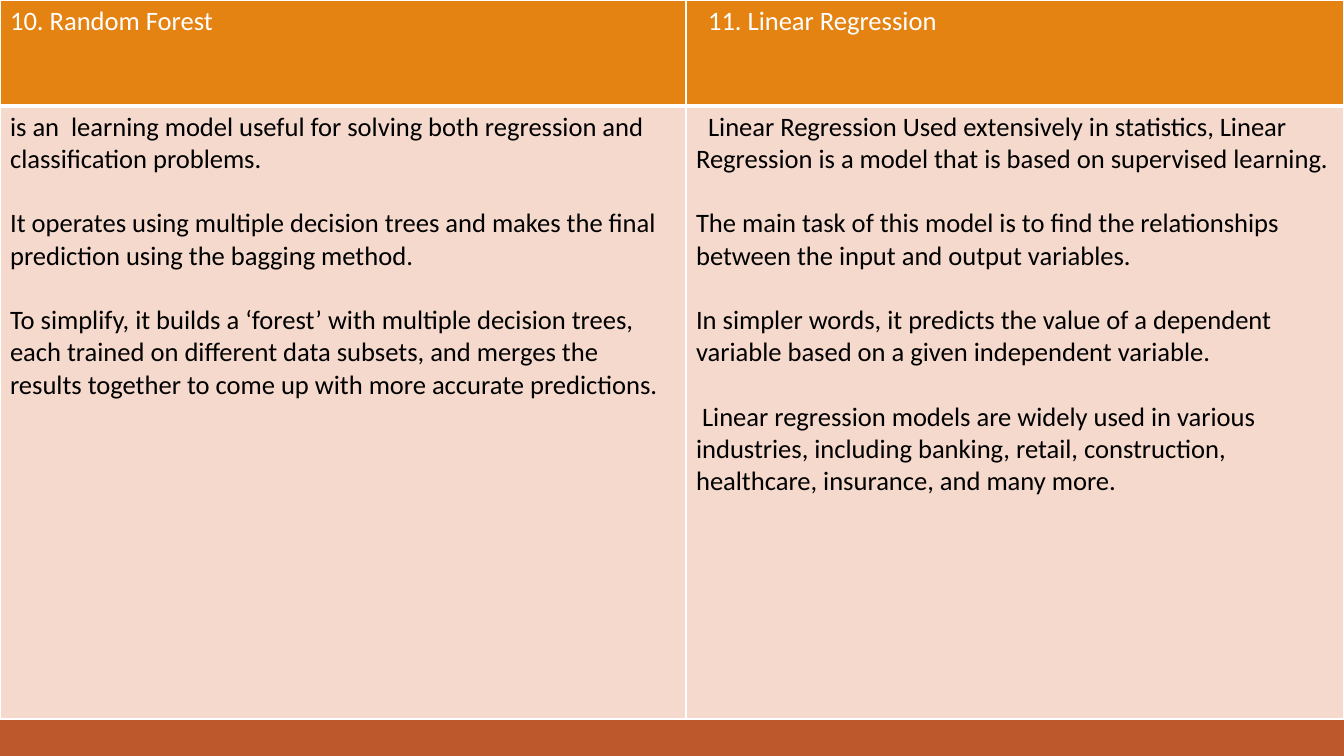
"""Build a slide comparing random forest and linear regression in a two-column table."""
from lxml.etree import SubElement
from pptx import Presentation
from pptx.dml.color import RGBColor
from pptx.enum.shapes import MSO_SHAPE as Shape
from pptx.oxml.ns import qn
from pptx.util import Pt

COLORS = {"header": "E48312", "body": "F5D9CC", "footer": "BD582C",
          "white": "FFFFFF", "black": "000000"}
FONT, TEXT_SIZE, PARAGRAPH_GAP = "Calibri", 19, 23
SLIDE_W, SLIDE_H, FOOTER_TOP = 1344, 756, 706
COLUMN_WIDTHS = (686, 658)
ROW_HEIGHTS = (106, 613)

MODELS = [
    {"title": ("10. Random Forest", 0),
     "points": [
         ("is an  learning model useful for solving both regression and "
          "classification problems.", 0),
         ("It operates using multiple decision trees and makes the final "
          "prediction using the bagging method.", 0),
         ("To simplify, it builds a ‘forest’ with multiple decision trees, each "
          "trained on different data subsets, and merges the results together "
          "to come up with more accurate predictions.", 0)]},
    {"title": ("11. Linear Regression", 12),
     "points": [
         ("Linear Regression Used extensively in statistics, Linear Regression "
          "is a model that is based on supervised learning.", 12),
         ("The main task of this model is to find the relationships between "
          "the input and output variables.", 0),
         ("In simpler words, it predicts the value of a dependent variable "
          "based on a given independent variable.", 0),
         ("Linear regression models are widely used in various industries, "
          "including banking, retail, construction, healthcare, insurance, "
          "and many more.", 6)]},
]


def px(length):
    return round(length * 914400 / 100.8)


def rgb(name):
    return RGBColor.from_string(COLORS[name])


def write(frame, lines, color, gap=0):
    for number, (text, indent) in enumerate(lines):
        paragraph = frame.add_paragraph() if number else frame.paragraphs[0]
        paragraph.space_after = Pt(gap)
        properties = paragraph._p.get_or_add_pPr()
        properties.set("marL", "0")
        properties.set("indent", str(px(indent)))
        run = paragraph.add_run()
        run.text = text
        run.font.name, run.font.size = FONT, Pt(TEXT_SIZE)
        run.font.color.rgb = rgb(color)


def set_borders(cell, **widths):
    properties = cell._tc.get_or_add_tcPr()
    for side in "LRTB":
        line = SubElement(properties, qn(f"a:ln{side}"), w=str(Pt(widths.get(side, 1))))
        fill = SubElement(line, qn("a:solidFill"))
        SubElement(fill, qn("a:srgbClr"), val=COLORS["white"])


def paint(cell, color):
    cell.fill.solid()
    cell.fill.fore_color.rgb = rgb(color)


def main():
    deck = Presentation()
    deck.slide_width, deck.slide_height = px(SLIDE_W), px(SLIDE_H)
    slide = deck.slides.add_slide(deck.slide_layouts[6])

    footer = slide.shapes.add_shape(Shape.RECTANGLE, 0, px(FOOTER_TOP), px(SLIDE_W),
                                    px(SLIDE_H - FOOTER_TOP))
    footer.shadow.inherit = False
    footer.fill.solid()
    footer.fill.fore_color.rgb = rgb("footer")
    footer.line.fill.background()

    comparison = slide.shapes.add_table(len(ROW_HEIGHTS), len(MODELS), 0, 0,
                                        px(SLIDE_W), px(sum(ROW_HEIGHTS))).table
    for row, height in zip(comparison.rows, ROW_HEIGHTS):
        row.height = px(height)
    for index, (model, width) in enumerate(zip(MODELS, COLUMN_WIDTHS)):
        comparison.columns[index].width = px(width)
        title, points = comparison.cell(0, index), comparison.cell(1, index)
        set_borders(title, B=3)
        set_borders(points, T=3)
        paint(title, "header")
        paint(points, "body")
        write(title.text_frame, [model["title"]], "white")
        write(points.text_frame, model["points"], "black", gap=PARAGRAPH_GAP)

    deck.save("out.pptx")


if __name__ == "__main__":
    main()
